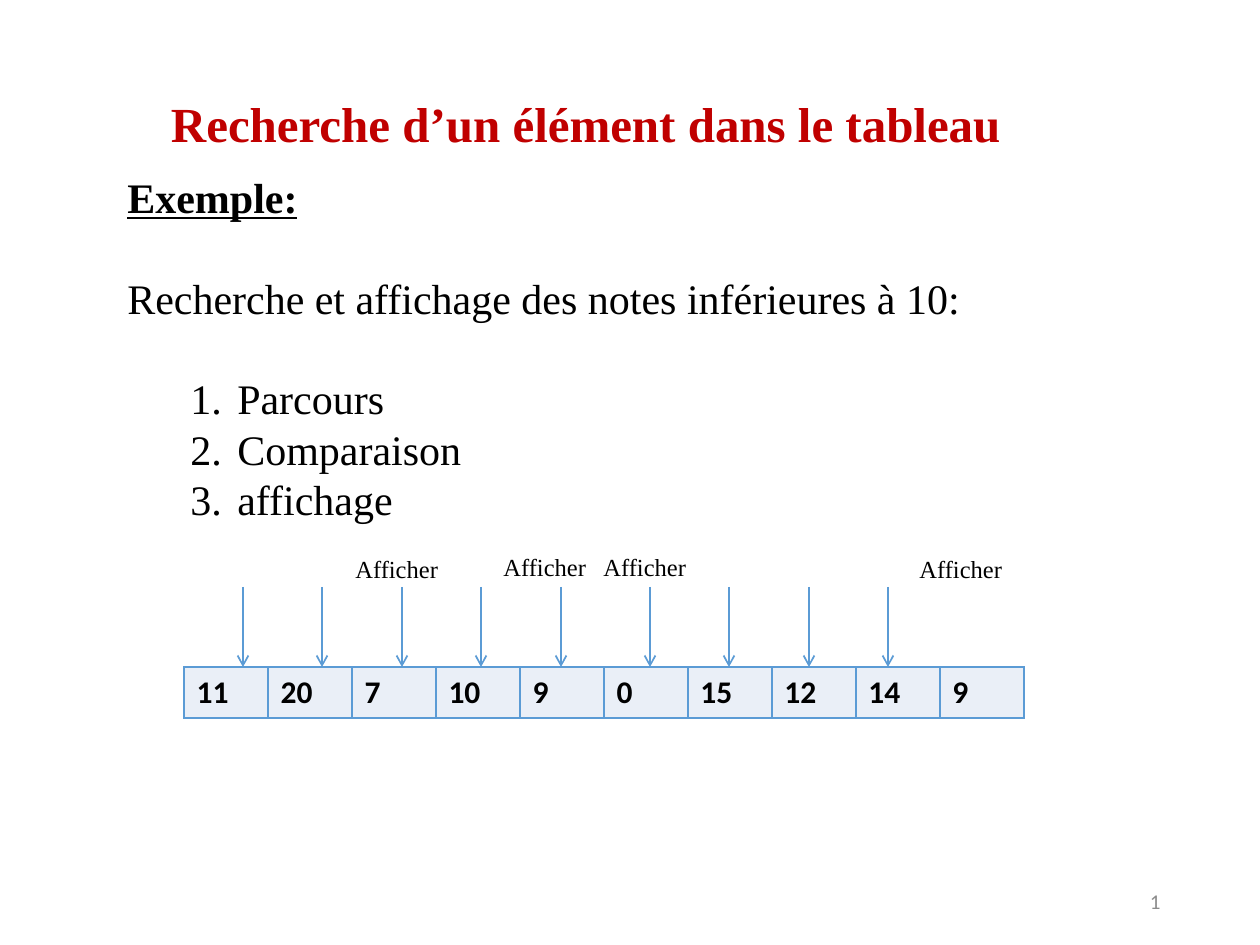
from dataclasses import dataclass
from lxml.etree import SubElement as Sub
from pptx import Presentation
from pptx.dml.color import RGBColor as Rgb
from pptx.enum.shapes import MSO_CONNECTOR as Conn
from pptx.enum.text import MSO_ANCHOR as Anchor, MSO_AUTO_SIZE as Auto, PP_ALIGN as Align
from pptx.oxml.ns import qn
from pptx.util import Emu, Pt


@dataclass(frozen=True)
class Theme:
    """Colours, fonts and type sizes of the slide."""
    black: str = "000000"
    red: str = "C00000"
    blue: str = "5B9BD5"
    pale: str = "EAEFF7"
    grey: str = "8C8C8C"
    serif: str = "Times New Roman"
    sans: str = "Calibri"
    head: int = 28
    body: int = 24
    cell: int = 18
    note: int = 14
    foot: int = 12
    pitch: float = 28.8
    line: int = 1


T = Theme()
VALUES = (11, 20, 7, 10, 9, 0, 15, 12, 14, 9)
STEPS = ("Parcours", "Comparaison", "affichage")


def px(n):
    """Turn pixels into EMU."""
    return Emu(round(n * 914400 / 126))


def write(para, text, size=T.body, color=T.black, face=T.serif, bold=False,
          under=False, align=Align.LEFT, pitch=None, before=0):
    """Add formatted text to a paragraph."""
    para.alignment = align
    para.space_before = Pt(before)
    if pitch:
        para.line_spacing = Pt(pitch)
    run = para.add_run()
    run.text = text
    font = run.font
    font.size, font.name, font.bold, font.underline = Pt(size), face, bold, under
    font.color.rgb = Rgb.from_string(color)


def frame(slide, box):
    """Add a wrapping text box and return its frame."""
    text = slide.shapes.add_textbox(*map(px, box)).text_frame
    text.word_wrap = True
    return text


def number(para):
    """Give a paragraph an automatic number and a hanging indent."""
    para.level = 1
    props = para._p.get_or_add_pPr()
    props.set("marL", str(px(110)))
    props.set("indent", str(px(-47)))
    Sub(props, qn("a:buFont"), typeface="+mj-lt")
    Sub(props, qn("a:buAutoNum"), type="arabicPeriod")


def title(slide, box):
    """Place the slide title."""
    shape = slide.shapes.title
    shape.left, shape.top, shape.width, shape.height = map(px, box)
    text = shape.text_frame
    text.auto_size = Auto.NONE
    text.word_wrap = True
    text.vertical_anchor = Anchor.TOP
    text.margin_left = px(61)
    write(text.paragraphs[0], "Recherche d’un élément dans le tableau",
          size=T.head, color=T.red, bold=True)


def body(slide, box):
    """Place the example and its numbered steps."""
    text = frame(slide, box)
    write(text.paragraphs[0], "Exemple:", bold=True, under=True, pitch=T.pitch)
    write(text.add_paragraph(), "Recherche et affichage des notes inférieures à 10:",
          pitch=T.pitch, before=T.pitch)
    for i, step in enumerate(STEPS):
        para = text.add_paragraph()
        number(para)
        write(para, step, pitch=T.pitch, before=0 if i else T.pitch)


def edge(cell):
    """Draw the four borders of a cell."""
    props = cell._tc.get_or_add_tcPr()
    for i, side in enumerate("LRTB"):
        line = Sub(props, qn("a:ln" + side), w=str(Pt(T.line)))
        Sub(Sub(line, qn("a:solidFill")), qn("a:srgbClr"), val=T.blue)
        props.insert(i, line)


def grid(slide, box):
    """Place the row of marks."""
    table = slide.shapes.add_table(1, len(VALUES), *map(px, box)).table
    table.first_row = table.horz_banding = False
    for col, value in zip(table.columns, VALUES):
        col.width = px(box[2] / len(VALUES))
    for cell, value in zip(table.rows[0].cells, VALUES):
        cell.fill.solid()
        cell.fill.fore_color.rgb = Rgb.from_string(T.pale)
        edge(cell)
        write(cell.text_frame.paragraphs[0], str(value),
              size=T.cell, face=T.sans, bold=True)


def arrow(slide, x, top, end):
    """Draw one downward arrow."""
    link = slide.shapes.add_connector(Conn.STRAIGHT, px(x), px(top), px(x), px(end))
    link.line.color.rgb = Rgb.from_string(T.blue)
    link.line.width = Pt(T.line)
    Sub(link.line._get_or_add_ln(), qn("a:tailEnd"), type="arrow")
    Sub(link._element.spPr, qn("a:effectLst"))


def scan(slide, box):
    """Place the marks, the arrows over them and the labels."""
    x, y, wide, high = box
    row = 51
    top = y + high - row
    grid(slide, (x, top, wide, row))
    for start, count in ((59, 5), (466, 4)):
        for i in range(count):
            arrow(slide, x + start + round(79.4 * i), top - 80, top)
    for dx, dy in ((159, 2), (307, 0), (407, 0), (723, 2)):
        text = frame(slide, (x + dx, y + dy, 129, 43))
        write(text.paragraphs[0], "Afficher", size=T.note)


def foot(slide, box):
    """Place the slide number."""
    text = frame(slide, box)
    text.vertical_anchor = Anchor.MIDDLE
    write(text.paragraphs[0], "1", size=T.foot, color=T.grey,
          face=T.sans, align=Align.RIGHT)


def main():
    """Build and save the slide."""
    deck = Presentation()
    deck.slide_width, deck.slide_height = px(1260), px(945)
    slide = deck.slides.add_slide(deck.slide_layouts[5])
    foot(slide, (890, 876, 283, 50))
    title(slide, (110, 87, 949, 72))
    body(slide, (115, 165, 1071, 369))
    scan(slide, (184, 546, 840, 172))
    deck.save("out.pptx")


if __name__ == "__main__":
    main()
